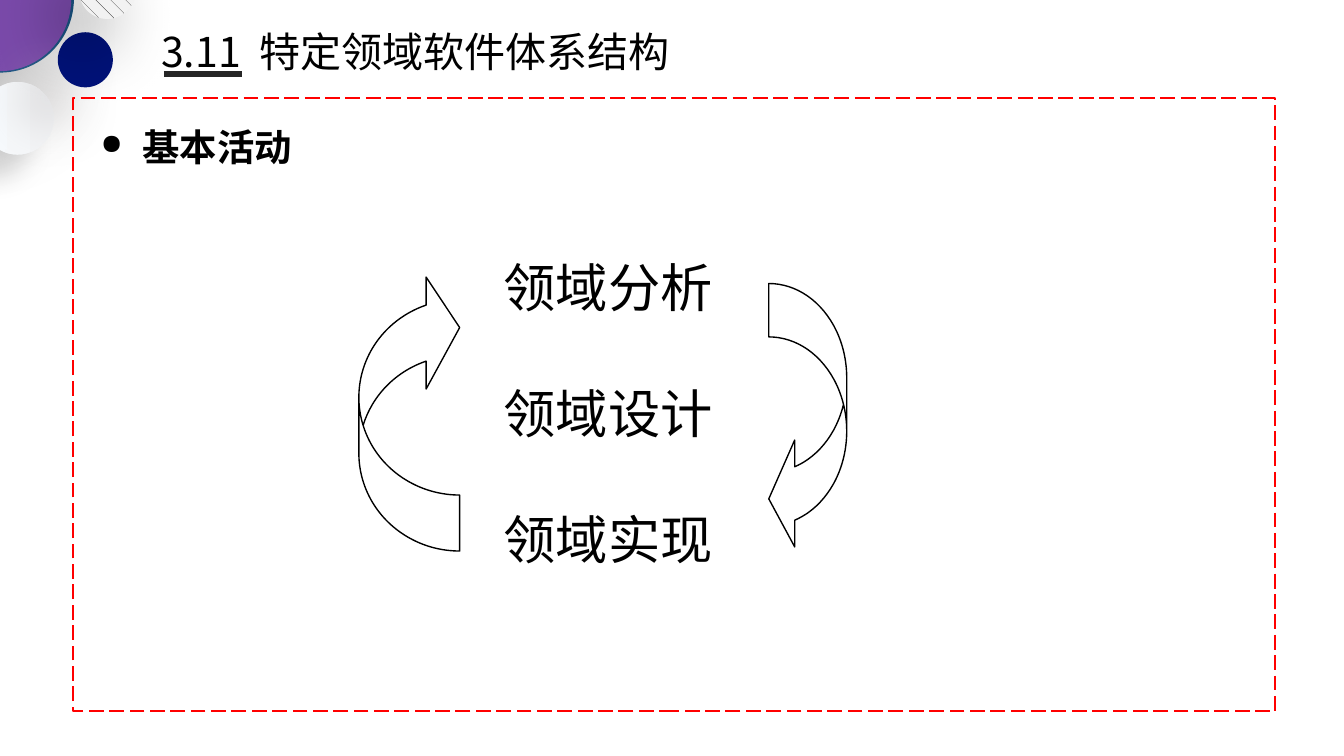
from dataclasses import dataclass
from typing import Optional, Union

from lxml import etree
from pptx import Presentation
from pptx import util as u
from pptx.dml.color import RGBColor
from pptx.enum import dml, shapes, text
from pptx.oxml import parse_xml
from pptx.oxml.ns import nsdecls, qn

BLACK = RGBColor(0, 0, 0)
PURPLE = RGBColor(0x7A, 0x4A, 0xAA)
NAVY = RGBColor(0x00, 0x12, 0x79)
STEEL = RGBColor(0x26, 0x68, 0x8F)
DEEP_STEEL = RGBColor(0x19, 0x53, 0x82)
PALE = RGBColor(0xF7, 0xFA, 0xFD)
PALE_GRAY = RGBColor(0xF4, 0xF5, 0xF7)
LIGHT_GRAY = RGBColor(0xF2, 0xF2, 0xF2)
MID_GRAY = RGBColor(0xAF, 0xAB, 0xAB)
DARK_GRAY = RGBColor(0x40, 0x40, 0x40)
CHARCOAL = RGBColor(0x26, 0x26, 0x26)
RED = RGBColor(0xFF, 0, 0)
FONT = "Noto Sans CJK SC"
SLIDE_WIDTH = u.Inches(10)
SLIDE_HEIGHT = SLIDE_WIDTH * 9 // 16


@dataclass
class Pattern:
    kind: dml.MSO_PATTERN_TYPE
    front: RGBColor
    back: RGBColor


@dataclass
class Gradient:
    start: RGBColor
    end: RGBColor


@dataclass
class Shadow:
    color: RGBColor
    opacity: int
    blur: int
    distance: int


@dataclass
class Circle:
    left: float
    top: float
    size: float
    fill: Union[RGBColor, Pattern, Gradient]
    rotation: float = 0
    shadow: Optional[Shadow] = None


@dataclass
class CycleArrow:
    left: float
    top: float
    width: float
    height: float
    adjustments: tuple
    rotation: float = 0


DOTS = Pattern(dml.MSO_PATTERN.PERCENT_5, STEEL, DEEP_STEEL)
SHINGLE = Pattern(dml.MSO_PATTERN.SHINGLE, DARK_GRAY, LIGHT_GRAY)
PEARL = Gradient(PALE, PALE_GRAY)

CIRCLES = [
    Circle(-0.55, -0.56, 1.1, DOTS, shadow=Shadow(BLACK, 40, 52, 32)),
    Circle(-0.54, -0.54, 1.07, PURPLE),
    Circle(-0.14, 0.61, 0.54, PEARL, 270, Shadow(BLACK, 14, 14, 18)),
    Circle(-0.12, 0.62, 0.51, PEARL, 270),
    Circle(0.43, 0.24, 0.41, NAVY, shadow=Shadow(MID_GRAY, 40, 27, 29)),
    Circle(0.59, -0.28, 0.42, SHINGLE, 11.1, Shadow(BLACK, 40, 38, 19)),
    Circle(0.59, -0.27, 0.41, SHINGLE, 11.1),
]
ARROWS = [
    CycleArrow(2.67, 2.02, 0.75, 2.08, (0.556, 1.111, 0.333), 180),
    CycleArrow(5.72, 2.11, 0.58, 2, (0.686, 1.371, 0.333)),
]
ACTIVITIES = ["领域分析", "领域设计", "领域实现"]


def add_shape(slide, kind, left: float, top: float, width: float, height: float):
    shape = slide.shapes.add_shape(
        kind, u.Inches(left), u.Inches(top), u.Inches(width), u.Inches(height))
    shape.shadow.inherit = False
    return shape


def add_circle(slide, circle: Circle) -> None:
    shape = add_shape(slide, shapes.MSO_SHAPE.OVAL, circle.left, circle.top,
                      circle.size, circle.size)
    shape.rotation = circle.rotation
    shape.line.fill.background()
    fill = shape.fill
    if isinstance(circle.fill, Pattern):
        fill.patterned()
        fill.pattern = circle.fill.kind
        fill.fore_color.rgb = circle.fill.front
        fill.back_color.rgb = circle.fill.back
    elif isinstance(circle.fill, Gradient):
        fill.gradient()
        fill.gradient_angle = 270
        fill.gradient_stops[0].color.rgb = circle.fill.start
        fill.gradient_stops[1].color.rgb = circle.fill.end
    else:
        fill.solid()
        fill.fore_color.rgb = circle.fill
    if circle.shadow:
        cast_shadow(shape, circle.shadow)


def cast_shadow(shape, shadow: Shadow) -> None:
    """Throw an outer shadow towards the lower left."""
    effects = shape._element.spPr.find(qn("a:effectLst"))
    effects.append(parse_xml(
        f'<a:outerShdw {nsdecls("a")} blurRad="{u.Pt(shadow.blur)}" '
        f'dist="{u.Pt(shadow.distance)}" dir="8100000" algn="tr" rotWithShape="0">'
        f'<a:srgbClr val="{shadow.color}"><a:alpha val="{shadow.opacity * 1000}"/>'
        '</a:srgbClr></a:outerShdw>'))


def add_arrow(slide, arrow: CycleArrow) -> None:
    shape = add_shape(slide, shapes.MSO_SHAPE.CURVED_LEFT_ARROW, arrow.left,
                      arrow.top, arrow.width, arrow.height)
    for index, value in enumerate(arrow.adjustments):
        shape.adjustments[index] = value
    shape.rotation = arrow.rotation
    shape.fill.background()
    shape.line.color.rgb = BLACK
    shape.line.width = u.Pt(0.75)


def add_text(slide, left: float, top: float, width: float, height: float,
             lines: list, size: int, insets: tuple = (0.05, 0.03),
             bold: bool = False):
    box = slide.shapes.add_textbox(
        u.Inches(left), u.Inches(top), u.Inches(width), u.Inches(height))
    frame = box.text_frame
    frame.word_wrap = True
    frame.auto_size = text.MSO_AUTO_SIZE.SHAPE_TO_FIT_TEXT
    frame.margin_left = frame.margin_right = u.Inches(insets[0])
    frame.margin_top = frame.margin_bottom = u.Inches(insets[1])
    frame.text = "\n".join(lines)
    for paragraph in frame.paragraphs:
        for run in paragraph.runs:
            run.font.size = u.Pt(size)
            run.font.bold = bold
            run.font.color.rgb = BLACK
            run.font.name = FONT
            east_asian = etree.SubElement(run.font._element, qn("a:ea"))
            east_asian.set("typeface", FONT)
    return frame


def add_bullet(paragraph, character: str, indent: float, percent: int) -> None:
    properties = paragraph._p.get_or_add_pPr()
    properties.set("marL", str(u.Inches(indent)))
    properties.set("indent", str(-u.Inches(indent)))
    etree.SubElement(properties, qn("a:buSzPct")).set("val", str(percent * 1000))
    etree.SubElement(properties, qn("a:buChar")).set("char", character)


def main() -> None:
    presentation = Presentation()
    presentation.slide_width = SLIDE_WIDTH
    presentation.slide_height = SLIDE_HEIGHT
    slide = presentation.slides.add_slide(presentation.slide_layouts[6])

    for circle in CIRCLES:
        add_circle(slide, circle)

    add_text(slide, 1.15, 0.17, 5.34, 0.42, ["3.11  特定领域软件体系结构"], 22)
    underline = slide.shapes.add_connector(
        shapes.MSO_CONNECTOR.STRAIGHT, u.Inches(1.22), u.Inches(0.55),
        u.Inches(1.8), u.Inches(0.55))
    underline.line.color.rgb = CHARCOAL
    underline.line.width = u.Pt(3)
    etree.SubElement(underline._element.spPr, qn("a:effectLst"))

    border = add_shape(slide, shapes.MSO_SHAPE.RECTANGLE, 0.54, 0.73, 8.95, 4.56)
    border.fill.background()
    border.line.color.rgb = RED
    border.line.width = u.Pt(1)
    border.line.dash_style = dml.MSO_LINE.LONG_DASH

    heading = add_text(slide, 0.7, 0.79, 8.83, 0.45, ["基本活动"], 20, bold=True)
    add_bullet(heading.paragraphs[0], "●", 0.31, 75)
    heading.paragraphs[0].line_spacing = 1.3

    activities = add_text(slide, 3.65, 1.85, 3.92, 2.44, ACTIVITIES, 28, (0.1, 0.05))
    for paragraph in activities.paragraphs[1:]:
        paragraph.space_before = u.Pt(33.75)

    for arrow in ARROWS:
        add_arrow(slide, arrow)
    presentation.save("out.pptx")


if __name__ == "__main__":
    main()
